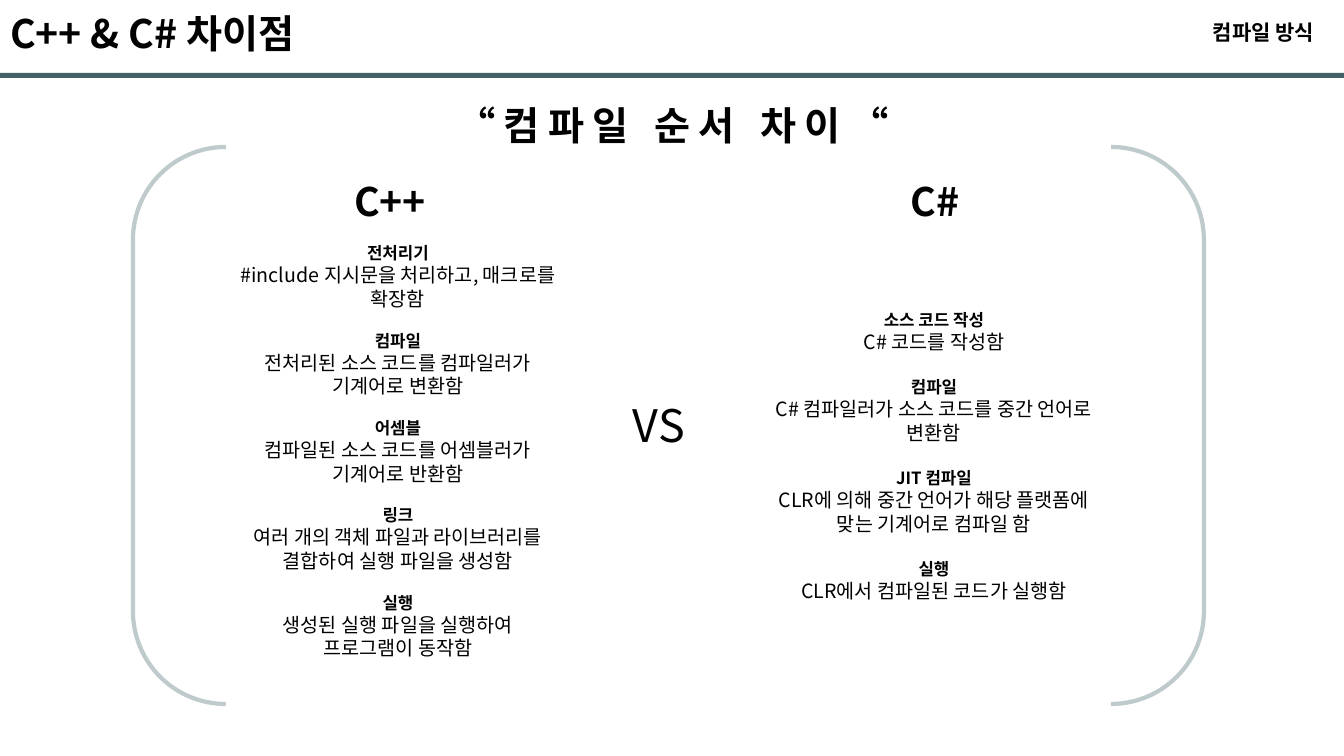
from lxml import etree
from pptx import Presentation
from pptx import util as u
from pptx.dml.color import RGBColor
from pptx.enum import shapes, text
from pptx.oxml.ns import qn

PX = 914400 / 100.8
FONT = "Noto Sans CJK KR"
BLACK = RGBColor(0, 0, 0)
TEAL = RGBColor(0x1C, 0x41, 0x48)
LEFT, CENTER = text.PP_ALIGN.LEFT, text.PP_ALIGN.CENTER
TOP, MIDDLE = text.MSO_ANCHOR.TOP, text.MSO_ANCHOR.MIDDLE

TITLE = ("C++ & C# 차이점", (0, 4, 347, 57))
BAR = (0, 73, 1344, 5)
BRACKETS = (133, 147, 1071, 557)

# words, box, size, bold, alignment, anchor, wrap, letter spacing
LABELS = [
    ("“컴파일 순서 차이“", (444, 96, 457, 57), 28, True, CENTER, TOP, False, 6),
    ("컴파일 방식", (1203, 15, 141, 35), 15, True, LEFT, TOP, True, 0),
    ("C++", (335, 172, 110, 57), 28, True, CENTER, MIDDLE, True, 0),
    ("C#", (880, 172, 110, 57), 28, True, CENTER, MIDDLE, True, 0),
    ("VS", (623, 393, 82, 65), 32, False, LEFT, TOP, True, 0),
]

# box, gap above each later step in points, steps
COLUMNS = [
    ((227, 238, 342, 445), 14.4, [
        ("전처리기", "#include 지시문을 처리하고, 매크로를 확장함"),
        ("컴파일", "전처리된 소스 코드를 컴파일러가 기계어로 변환함"),
        ("어셈블", "컴파일된 소스 코드를 어셈블러가 기계어로 반환함"),
        ("링크", "여러 개의 객체 파일과 라이브러리를 결합하여 실행 파일을 생성함"),
        ("실행", "생성된 실행 파일을 실행하여 프로그램이 동작함"),
    ]),
    ((749, 305, 370, 308), 16.8, [
        ("소스 코드 작성", "C# 코드를 작성함"),
        ("컴파일", "C# 컴파일러가 소스 코드를 중간 언어로 변환함"),
        ("JIT 컴파일", "CLR에 의해 중간 언어가 해당 플랫폼에 맞는 기계어로 컴파일 함"),
        ("실행", "CLR에서 컴파일된 코드가 실행함"),
    ]),
]


def emu(box):
    return [u.Emu(round(v * PX)) for v in box]


def add_run(p, words, size, bold, spacing=0):
    r = p.add_run()
    r.text = words
    r.font.size, r.font.bold, r.font.name = u.Pt(size), bold, FONT
    r.font.color.rgb = BLACK
    rpr = r.font._element
    etree.SubElement(rpr, qn("a:ea")).set("typeface", FONT)
    if spacing:
        rpr.set("spc", str(spacing * 100))


def set_frame(tf, wrap=True, anchor=TOP):
    tf.auto_size = text.MSO_AUTO_SIZE.NONE
    tf.word_wrap = wrap
    tf.vertical_anchor = anchor
    return tf


def add_shape(s, kind, box):
    sp = s.shapes.add_shape(kind, *emu(box))
    sp.shadow.inherit = False
    return sp


def set_color(fill, percent):
    """Paint a solid fill in teal at the given opacity."""
    fill.solid()
    fill.fore_color.rgb = TEAL
    clr = fill._xPr.find(".//" + qn("a:srgbClr"))
    etree.SubElement(clr, qn("a:alpha")).set("val", str(percent * 1000))


def main():
    prs = Presentation()
    prs.slide_width, prs.slide_height = emu((1344, 756))
    s = prs.slides.add_slide(prs.slide_layouts[5])

    bar = add_shape(s, shapes.MSO_SHAPE.RECTANGLE, BAR)
    set_color(bar.fill, 83)
    bar.line.fill.background()

    brackets = add_shape(s, shapes.MSO_SHAPE.DOUBLE_BRACKET, BRACKETS)
    brackets.fill.background()
    brackets.line.width = u.Pt(3)
    set_color(brackets.line.fill, 28)

    words, box = TITLE
    title = s.shapes.title
    title.left, title.top, title.width, title.height = emu(box)
    p = set_frame(title.text_frame, wrap=False).paragraphs[0]
    p.alignment = LEFT
    add_run(p, words, 28, True)

    for words, box, size, bold, align, anchor, wrap, spacing in LABELS:
        tf = s.shapes.add_textbox(*emu(box)).text_frame
        p = set_frame(tf, wrap, anchor).paragraphs[0]
        p.alignment = align
        add_run(p, words, size, bold, spacing)

    for box, gap, steps in COLUMNS:
        tf = set_frame(s.shapes.add_textbox(*emu(box)).text_frame)
        for i, (heading, detail) in enumerate(steps):
            p = tf.add_paragraph() if i else tf.paragraphs[0]
            p.alignment = CENTER
            p.space_before = u.Pt(gap if i else 0)
            add_run(p, heading, 12, True)
            p = tf.add_paragraph()
            p.alignment = CENTER
            add_run(p, detail, 14, False)

    prs.save("out.pptx")


if __name__ == "__main__":
    main()
